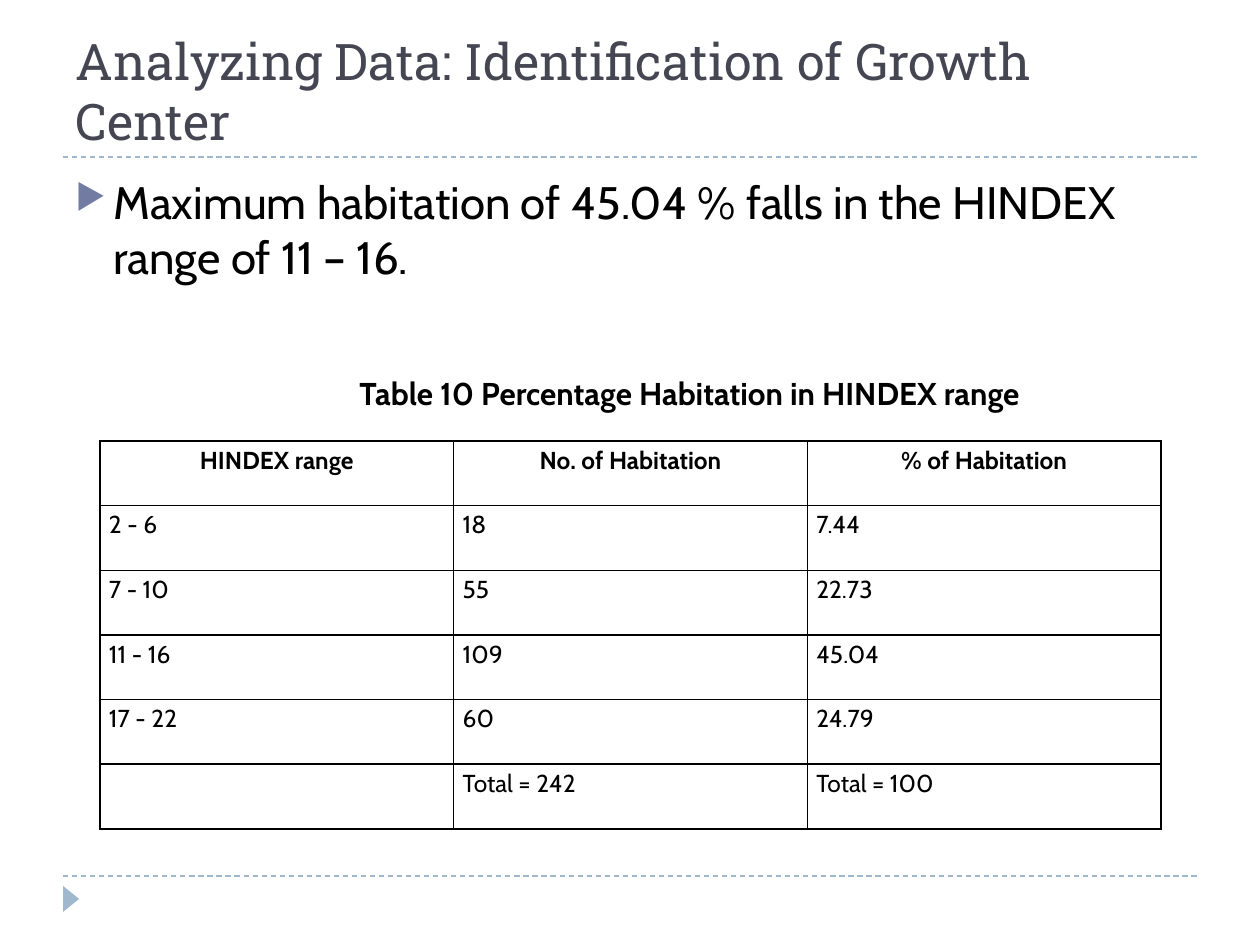
import pptx
import pptx.util
import pptx.dml.color
import pptx.enum.dml
import pptx.enum.shapes
import pptx.enum.text
import pptx.oxml
import pptx.oxml.ns
import lxml.etree

SCALE = 914400 // 126
ALIGN = pptx.enum.text.PP_ALIGN
ANCHOR = pptx.enum.text.MSO_ANCHOR
NONE = pptx.enum.text.MSO_AUTO_SIZE.NONE
DRAWING = pptx.oxml.ns.nsdecls("a")


def color(value):
    return pptx.dml.color.RGBColor.from_string(value)


def write(para, text, size, font="Cabin", bold=False, ink="000000", **layout):
    span = para.add_run()
    span.text = text
    formats = {"size": pptx.util.Pt(size), "name": font, "bold": bold}
    for name, value in formats.items():
        setattr(span.font, name, value)
    span.font.color.rgb = color(ink)
    for name, value in layout.items():
        setattr(para, name, value)


deck = pptx.Presentation()
deck.slide_width = 1260 * SCALE
deck.slide_height = 945 * SCALE
page = deck.slides.add_slide(deck.slide_layouts[5])

# Dashed rules above and below the content
for y in (876, 157):
    rule = page.shapes.add_connector(
        pptx.enum.shapes.MSO_CONNECTOR.STRAIGHT,
        63 * SCALE, y * SCALE, 1197 * SCALE, y * SCALE)
    rule.line.color.rgb = color("9FB8CD")
    rule.line.width = pptx.util.Pt(0.75)
    rule.line.dash_style = pptx.enum.dml.MSO_LINE.DASH
    lxml.etree.SubElement(rule._element.spPr, pptx.oxml.ns.qn("a:effectLst"))

# Footer marker
marker = page.shapes.add_shape(
    pptx.enum.shapes.MSO_SHAPE.ISOSCELES_TRIANGLE,
    58 * SCALE, 891 * SCALE, 26 * SCALE, 16 * SCALE)
marker.rotation = 90
marker.shadow.inherit = False
marker.fill.solid()
marker.fill.fore_color.rgb = color("9FB8CD")
marker.line.fill.background()

# Title
title = page.shapes.title
place = {"left": 63, "top": 21, "width": 1134, "height": 136}
for name, value in place.items():
    setattr(title, name, value * SCALE)
frame = {"word_wrap": True, "auto_size": NONE, "vertical_anchor": ANCHOR.BOTTOM}
for name, value in frame.items():
    setattr(title.text_frame, name, value)
write(title.text_frame.paragraphs[0], "Analyzing Data: Identification of Growth Center",
      28.8, "Roboto Slab", ink="464653", alignment=ALIGN.LEFT)

# Bulleted finding
finding = page.shapes.add_textbox(63 * SCALE, 168 * SCALE, 1134 * SCALE, 680 * SCALE)
finding.text_frame.word_wrap = True
para = finding.text_frame.paragraphs[0]
write(para, "Maximum habitation of 45.04 % falls in the HINDEX range of 11 – 16.", 26,
      space_before=pptx.util.Pt(6))
indent = para._p.get_or_add_pPr()
indent.set("marL", str(38 * SCALE))
indent.set("indent", str(-38 * SCALE))
for bullet in ('<a:buClr {}><a:srgbClr val="727CA3"/></a:buClr>',
               '<a:buSzPct {} val="76000"/>',
               '<a:buChar {} char="▶"/>'):
    indent.append(pptx.oxml.parse_xml(bullet.format(DRAWING)))

# Table
rows = [
    ("HINDEX range", "No. of Habitation", "% of Habitation"),
    ("2 - 6", "18", "7.44"),
    ("7 - 10", "55", "22.73"),
    ("11 - 16", "109", "45.04"),
    ("17 - 22", "60", "24.79"),
    ("", "Total = 242", "Total = 100"),
]
table = page.shapes.add_table(len(rows), 3, 100 * SCALE, 441 * SCALE,
                              1061 * SCALE, 388 * SCALE).table
margins = {"margin_left": 9, "margin_right": 9, "margin_top": 0, "margin_bottom": 0}
for row_index, row in enumerate(rows):
    header = row_index == 0
    for column_index, text in enumerate(row):
        cell = table.cell(row_index, column_index)
        for name, value in margins.items():
            setattr(cell, name, value * SCALE)
        if text:
            write(cell.text_frame.paragraphs[0], text, 14, bold=header, line_spacing=1.15,
                  alignment=ALIGN.CENTER if header else ALIGN.JUSTIFY)
        borders = cell._tc.get_or_add_tcPr()
        for side in ("lnL", "lnR", "lnT", "lnB"):
            borders.append(pptx.oxml.parse_xml(
                f'<a:{side} {DRAWING} w="12700"><a:solidFill>'
                f'<a:srgbClr val="000000"/></a:solidFill></a:{side}>'))
        cell.fill.background()

# Table caption
caption = page.shapes.add_textbox(347 * SCALE, 368 * SCALE, 819 * SCALE, 50 * SCALE)
caption.text_frame.word_wrap = True
write(caption.text_frame.paragraphs[0], "Table 10 Percentage Habitation in HINDEX range",
      18, bold=True)

deck.save("out.pptx")
